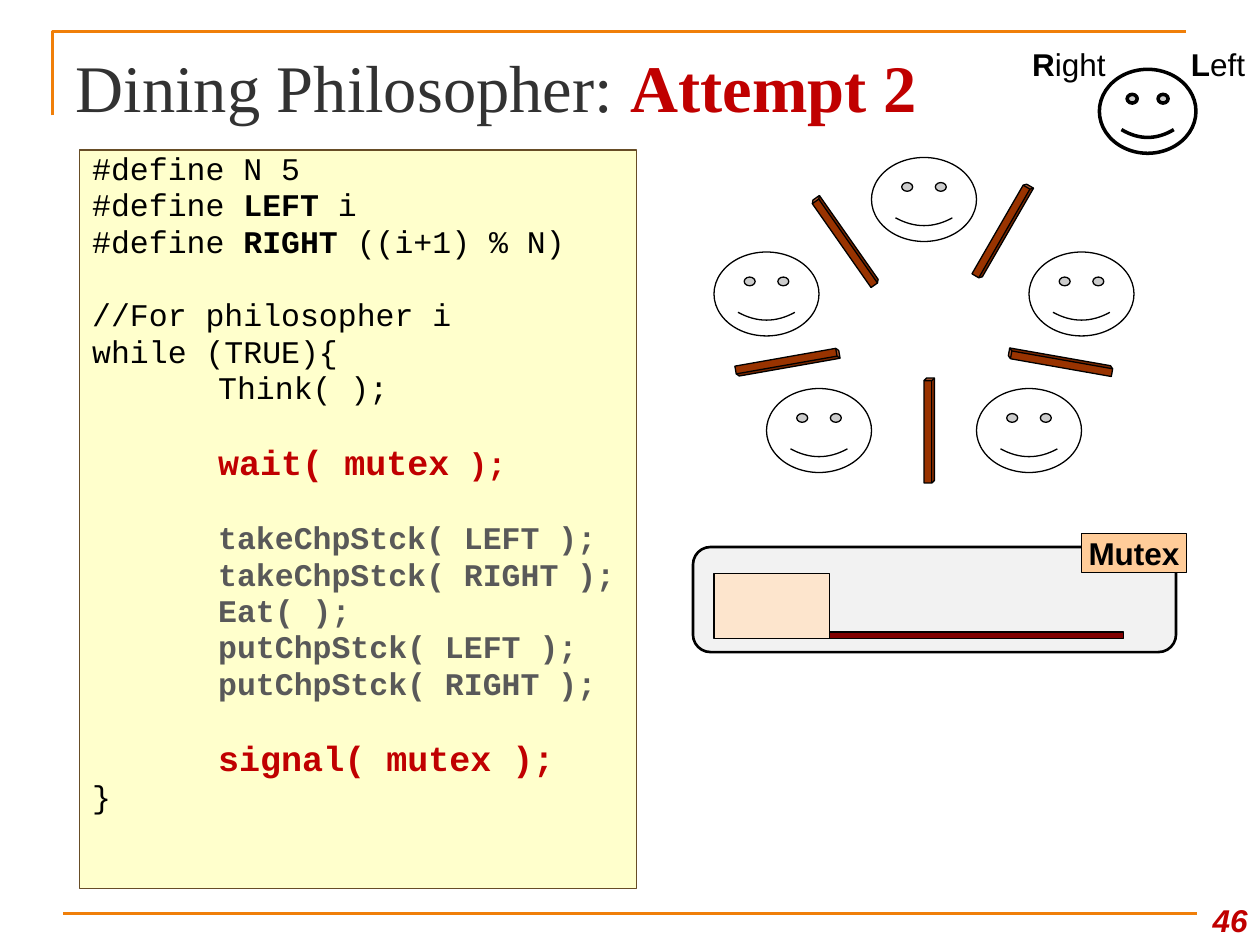
from dataclasses import dataclass

from lxml.etree import SubElement
from pptx import Presentation
from pptx.dml.color import RGBColor
from pptx.enum.shapes import MSO_CONNECTOR as Connector, MSO_SHAPE as Shape
from pptx.enum.text import MSO_ANCHOR as Anchor, MSO_AUTO_SIZE as AutoSize, PP_ALIGN as Align
from pptx.oxml.ns import qn
from pptx.util import Pt

PX = 7620


@dataclass(frozen=True)
class Theme:
    accent: str = "F07F09"
    title: str = "323232"
    red: str = "C00000"
    black: str = "000000"
    white: str = "FFFFFF"
    gray: str = "595959"
    code_fill: str = "FFFFCC"
    code_line: str = "674D26"
    wood: str = "993300"
    panel: str = "F2F2F2"
    label: str = "FFCC99"
    slot: str = "FDE5CD"
    bar: str = "800000"
    title_size: int = 38
    keyword_size: int = 20
    body_size: int = 18
    serif: str = "Times New Roman"
    sans: str = "Arial"
    mono: str = "Courier New"
    thin: float = 0.75
    medium: float = 1.5
    thick: float = 2
    line_spacing: float = 0.8
    line_gap: float = 3.5
    section_gap: float = 24.7


THEME = Theme()


def emu(*lengths):
    return [length * PX for length in lengths]


def rgb(color):
    return RGBColor.from_string(color)


def write(paragraph, text, font=THEME.sans, size=THEME.body_size, color=THEME.black,
          bold=False, italic=False):
    run = paragraph.add_run()
    run.text = text
    run.font.name = font
    run.font.size = Pt(size)
    run.font.color.rgb = rgb(color)
    run.font.bold = bold
    run.font.italic = italic


def draw(shapes, preset, box, fill, line=THEME.black, width=THEME.thin, rotation=0):
    part = shapes.add_shape(preset, *emu(*box))
    part.shadow.inherit = False
    part.fill.solid()
    part.fill.fore_color.rgb = rgb(fill)
    part.line.color.rgb = rgb(line)
    part.line.width = Pt(width)
    part.rotation = rotation
    return part


def caption(shapes, box, anchor, align):
    frame = shapes.add_textbox(*emu(*box)).text_frame
    frame.word_wrap = True
    frame.vertical_anchor = anchor
    frame.paragraphs[0].alignment = align
    return frame.paragraphs[0]


def set_tab_stop(paragraph, position):
    tabs = SubElement(paragraph._p.get_or_add_pPr(), qn("a:tabLst"))
    SubElement(tabs, qn("a:tab"), pos=str(position * PX), algn="l")


def add_border(slide, box):
    left, top, width, height = box
    builder = slide.shapes.build_freeform(left, top + 80, scale=PX)
    builder.add_line_segments([(left, top), (left + width, top)], close=False)
    corner = builder.convert_to_shape()
    corner.shadow.inherit = False
    corner.fill.background()
    bottom = top + height
    footer = slide.shapes.add_connector(
        Connector.STRAIGHT, *emu(left + 10, bottom, left + width + 10, bottom))
    SubElement(footer._element.spPr, qn("a:effectLst"))
    for rule in (corner, footer):
        rule.line.color.rgb = rgb(THEME.accent)
        rule.line.width = Pt(THEME.medium)


def add_title(slide, box):
    title = slide.shapes.title
    title.left, title.top, title.width, title.height = emu(*box)
    frame = title.text_frame
    frame.auto_size = AutoSize.NONE
    frame.vertical_anchor = Anchor.MIDDLE
    heading = frame.paragraphs[0]
    heading.alignment = Align.LEFT
    style = dict(font=THEME.serif, size=THEME.title_size)
    write(heading, "Dining Philosopher: ", color=THEME.title, **style)
    write(heading, "Attempt 2", color=THEME.red, bold=True, **style)


def add_code(slide, box):
    plain = {}
    strong = dict(bold=True)
    critical = dict(color=THEME.gray, bold=True)
    keyword = dict(color=THEME.red, bold=True, size=THEME.keyword_size)
    sections = [
        [[("#define N 5", plain)],
         [("#define ", plain), ("LEFT ", strong), ("i", plain)],
         [("#define ", plain), ("RIGHT", strong), (" ((i+1) % N)", plain)]],
        [[("//For philosopher i", plain)],
         [("while (TRUE){", plain)],
         [("\tThink( );", plain)]],
        [[("\twait( mutex", keyword), (" );", dict(keyword, size=THEME.body_size))]],
        [[("\t" + call, critical)] for call in (
            "takeChpStck( LEFT );", "takeChpStck( RIGHT );", "Eat( );",
            "putChpStck( LEFT );", "putChpStck( RIGHT );")],
        [[("\tsignal( mutex );", keyword)],
         [("}", plain)]],
    ]
    frame = draw(slide.shapes, Shape.RECTANGLE, box, THEME.code_fill, THEME.code_line).text_frame
    frame.word_wrap = True
    frame.vertical_anchor = Anchor.TOP
    for section_index, section in enumerate(sections):
        for line_index, pieces in enumerate(section):
            first = section_index == line_index == 0
            code_line = frame.paragraphs[0] if first else frame.add_paragraph()
            set_tab_stop(code_line, 120)
            code_line.alignment = Align.LEFT
            code_line.line_spacing = THEME.line_spacing
            if not first:
                code_line.space_before = Pt(THEME.line_gap if line_index else THEME.section_gap)
            for text, style in pieces:
                write(code_line, text, font=THEME.mono, **style)


def add_table_scene(slide, box):
    left, top, _, _ = box
    scene = slide.shapes.add_group_shape().shapes
    for x, y in ((150, 0), (0, 90), (300, 90), (50, 220), (250, 220)):
        draw(scene, Shape.SMILEY_FACE, (left + x, top + y, 100, 80), THEME.white)
    for x, y, angle in ((270, 20, 30), (200, 210, 0), (120, 30, 325),
                        (65, 145, 80), (325, 145, 280)):
        draw(scene, Shape.CUBE, (left + x, top + y, 10, 100), THEME.wood, rotation=angle)


def add_mutex(slide, box):
    left, top, width, height = box
    panel = slide.shapes.add_group_shape().shapes
    draw(panel, Shape.ROUNDED_RECTANGLE, box, THEME.panel, width=THEME.medium)
    label = draw(panel, Shape.RECTANGLE, (left + width - 90, top - 13, 100, 37), THEME.label)
    frame = label.text_frame
    frame.word_wrap = False
    frame.vertical_anchor = Anchor.MIDDLE
    frame.paragraphs[0].alignment = Align.CENTER
    write(frame.paragraphs[0], "Mutex", bold=True)
    base = top + height - 13
    draw(panel, Shape.RECTANGLE, (left + 20, base - 62, 110, 62), THEME.slot)
    draw(panel, Shape.RECTANGLE, (left + 130, base - 6, 280, 6), THEME.bar)


def add_legend(slide, box):
    left, top, width, height = box
    legend = slide.shapes.add_group_shape().shapes
    draw(legend, Shape.SMILEY_FACE, (left + 80, top + 30, 92, 80), THEME.white, width=THEME.thick)
    for x, label_width, initial, rest in ((width - 82, 82, "L", "eft"), (0, 102, "R", "ight")):
        side = caption(legend, (left + x, top, label_width, 50), Anchor.MIDDLE, Align.CENTER)
        write(side, initial, bold=True)
        write(side, rest)


def add_page_number(slide, box):
    number = caption(slide.shapes, box, Anchor.BOTTOM, Align.RIGHT)
    write(number, "46", color=THEME.red, bold=True, italic=True)


def main():
    deck = Presentation()
    deck.slide_width, deck.slide_height = emu(1200, 900)
    slide = deck.slides.add_slide(deck.slide_layouts[5])
    add_border(slide, (50, 30, 1080, 840))
    add_title(slide, (60, 35, 1080, 94))
    add_code(slide, (76, 143, 530, 703))
    add_table_scene(slide, (680, 150, 400, 310))
    add_mutex(slide, (660, 521, 460, 100))
    add_page_number(slide, (1130, 840, 70, 60))
    add_legend(slide, (967, 36, 234, 110))
    deck.save("out.pptx")


if __name__ == "__main__":
    main()
